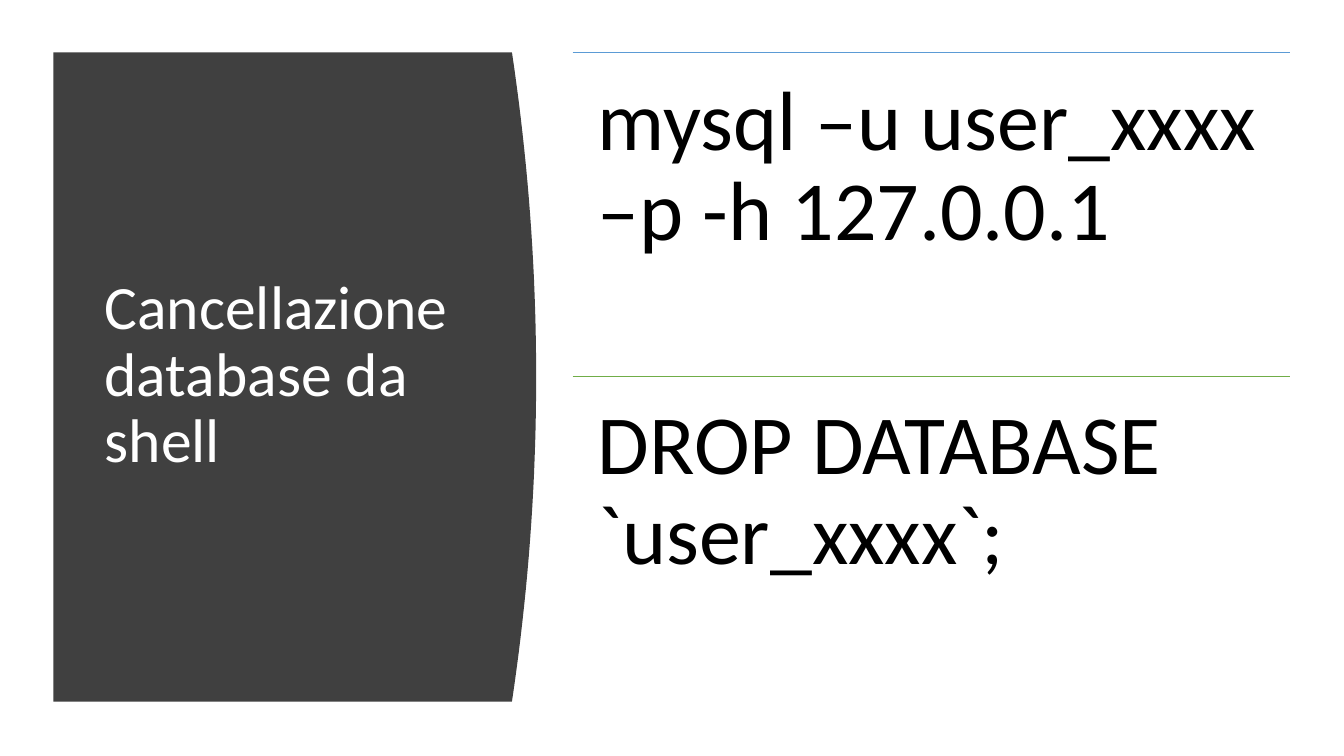
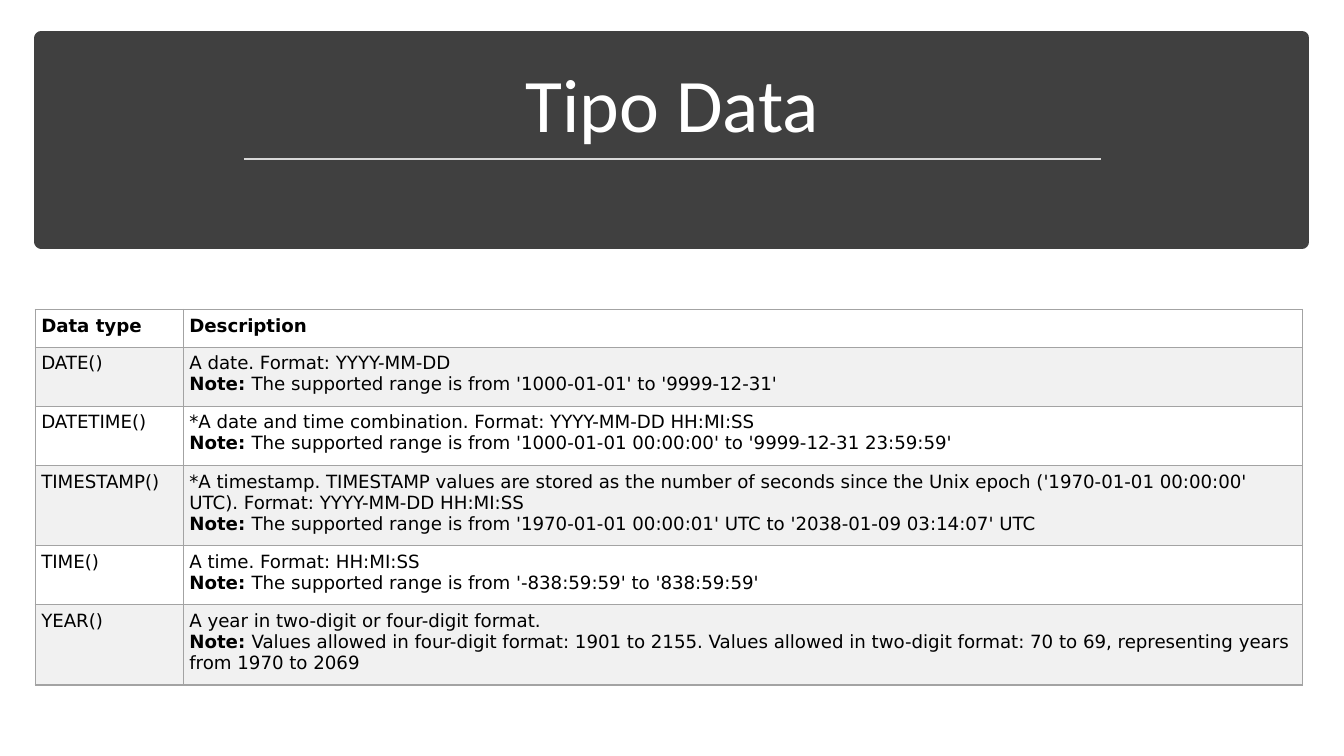
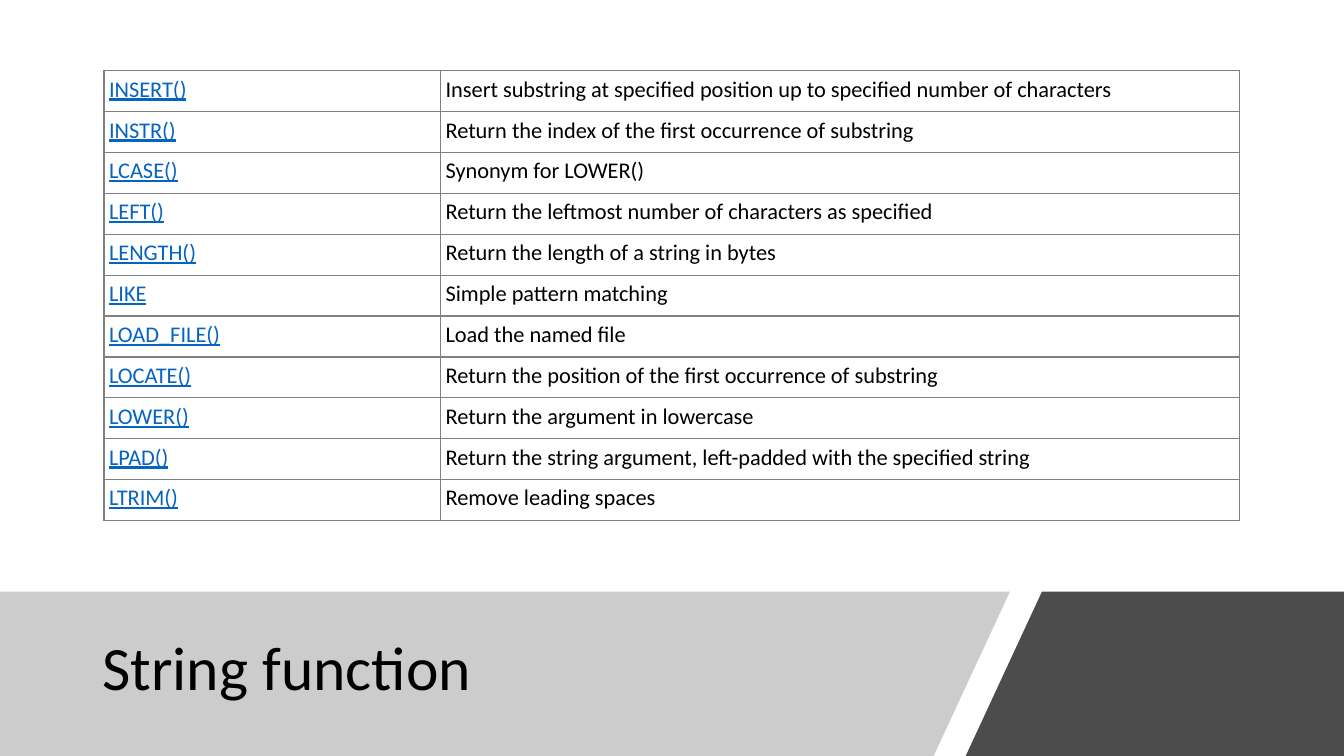
from lxml.etree import SubElement
from pptx import Presentation
from pptx.dml.color import RGBColor
from pptx.enum.shapes import MSO_CONNECTOR, MSO_SHAPE
from pptx.enum.text import MSO_ANCHOR, PP_ALIGN
from pptx.oxml.ns import qn
from pptx.util import Pt

color = RGBColor.from_string
DARK, BLACK, WHITE = "404040", "000000", "FFFFFF"
BODY_FONT, CODE_FONT = "Calibri", "DejaVu Sans"


def write(para, text, size, ink, font=BODY_FONT):
    """Add one run and style the whole paragraph."""
    para.font.name, para.font.size = font, Pt(size)
    para.font.color.rgb = color(ink)
    para.add_run().text = text


def add_grid(page, left, top, widths, heights, border, margin):
    """Add a plain table with thin borders on every cell."""
    frame = page.shapes.add_table(len(heights), len(widths), Pt(left), Pt(top),
                                  Pt(sum(widths)), Pt(sum(heights)))
    table = frame.table
    table.first_row = table.horz_banding = False
    for column, width in zip(table.columns, widths):
        column.width = Pt(width)
    for row, height in zip(table.rows, heights):
        row.height = Pt(height)
    for cell in table.iter_cells():
        cell.margin_left = cell.margin_right = Pt(margin)
        cell.margin_top = cell.margin_bottom = Pt(margin)
        properties = cell._tc.get_or_add_tcPr()
        for side in ("a:lnL", "a:lnR", "a:lnT", "a:lnB"):
            edge = SubElement(properties, qn(side), w=str(Pt(1)))
            SubElement(SubElement(edge, qn("a:solidFill")), qn("a:srgbClr"), val=border)
        cell.fill.background()
    return table


deck = Presentation()
deck.slide_width, deck.slide_height = Pt(960), Pt(540)
drop_page, date_page, string_page = [
    deck.slides.add_slide(deck.slide_layouts[6]) for _ in range(3)]

# Title band of the date page
band = date_page.shapes.add_shape(MSO_SHAPE.RECTANGLE, Pt(29.6), Pt(27.2), Pt(900.6), Pt(145.4))
band.shadow.inherit = False
band.fill.solid()
band.fill.fore_color.rgb = color(DARK)
band.line.color.rgb = color(DARK)
band.line.width = Pt(10)

# Title panels: a side panel with a bulging edge, and two slanted footers
panel_top, panel_middle, panel_bottom = 37.4, 269.3, 501.2
bulge_steps = 40
side_panel = [(38.2, panel_bottom), (38.2, panel_top)]
for step in range(bulge_steps + 1):
    offset = 2 * step / bulge_steps - 1
    side_panel.append((383 - 17.3 * offset ** 2,
                       panel_middle + offset * (panel_bottom - panel_middle)))
footer_top = 422.6
light_footer = [(0, footer_top), (721.4, footer_top), (666.9, 540), (0, 540)]
dark_footer = [(744.3, footer_top), (960, footer_top), (960, 540), (689.8, 540)]

for page, corners, fill, opacity in [
    (drop_page, side_panel, DARK, 100),
    (string_page, light_footer, "808080", 40),
    (string_page, dark_footer, BLACK, 70),
]:
    points = [(Pt(x), Pt(y)) for x, y in corners]
    builder = page.shapes.build_freeform(*points[0])
    builder.add_line_segments(points[1:], close=True)
    panel = builder.convert_to_shape()
    panel.shadow.inherit = False
    panel.fill.solid()
    panel.fill.fore_color.rgb = color(fill)
    panel.line.fill.background()
    if opacity < 100:
        tint = panel._element.spPr.find(qn("a:solidFill")).find(qn("a:srgbClr"))
        SubElement(tint, qn("a:alpha"), val=str(opacity * 1000))

# Rules
command_left, command_width, command_height = 409, 512.6, 231.9
for page, left, right, y, ink, width in [
    (drop_page, command_left, command_left + command_width, panel_top, "5B9BD5", 1),
    (drop_page, command_left, command_left + command_width, panel_middle - 0.5, "70AD47", 1),
    (date_page, 174.2, 786.2, 113.6, "D9D9D9", 1.75),
]:
    rule = page.shapes.add_connector(MSO_CONNECTOR.STRAIGHT, Pt(left), Pt(y), Pt(right), Pt(y))
    rule.line.color.rgb = color(ink)
    rule.line.width = Pt(width)
    SubElement(rule._element.spPr, qn("a:effectLst"))

# Titles and shell commands
for page, text, area, size, ink, anchor, align, inset in [
    (drop_page, "Cancellazione database da shell", (67.7, 80, 269.3, 377.3),
     44, WHITE, MSO_ANCHOR.MIDDLE, PP_ALIGN.LEFT, (7.2, 3.6)),
    (date_page, "Tipo Data", (41.8, 36.7, 877, 73.4),
     54, WHITE, MSO_ANCHOR.BOTTOM, PP_ALIGN.CENTER, (7.2, 3.6)),
    (string_page, "String function", (66.2, 435.6, 607.7, 86.4),
     44, BLACK, MSO_ANCHOR.MIDDLE, PP_ALIGN.LEFT, (7.2, 3.6)),
    (drop_page, "mysql –u user_xxxx –p -h 127.0.0.1",
     (command_left, panel_top, command_width, command_height),
     60, BLACK, MSO_ANCHOR.TOP, PP_ALIGN.LEFT, (18, 18)),
    (drop_page, "DROP DATABASE `user_xxxx`;",
     (command_left, panel_middle - 0.5, command_width, command_height),
     60, BLACK, MSO_ANCHOR.TOP, PP_ALIGN.LEFT, (18, 18)),
]:
    box = page.shapes.add_textbox(*[Pt(length) for length in area])
    frame = box.text_frame
    frame.word_wrap = True
    frame.vertical_anchor = anchor
    frame.margin_left = frame.margin_right = Pt(inset[0])
    frame.margin_top = frame.margin_bottom = Pt(inset[1])
    para = frame.paragraphs[0]
    para.alignment = align
    para.line_spacing = 0.9
    write(para, text, size, ink)

# Date types: name, description, note
date_types = [
    ("Data type", "Description", ""),
    ("DATE()", "A date. Format: YYYY-MM-DD",
     "The supported range is from '1000-01-01' to '9999-12-31'"),
    ("DATETIME()", "*A date and time combination. Format: YYYY-MM-DD HH:MI:SS",
     "The supported range is from '1000-01-01 00:00:00' to '9999-12-31 23:59:59'"),
    ("TIMESTAMP()",
     "*A timestamp. TIMESTAMP values are stored as the number of seconds since the Unix epoch "
     "('1970-01-01 00:00:00' UTC). Format: YYYY-MM-DD HH:MI:SS",
     "The supported range is from '1970-01-01 00:00:01' UTC to '2038-01-09 03:14:07' UTC"),
    ("TIME()", "A time. Format: HH:MI:SS",
     "The supported range is from '-838:59:59' to '838:59:59'"),
    ("YEAR()", "A year in two-digit or four-digit format.",
     "Values allowed in four-digit format: 1901 to 2155. Values allowed in two-digit format: "
     "70 to 69, representing years from 1970 to 2069"),
]
date_table = add_grid(date_page, 25.2, 221, (105.8, 799.2),
                      (27, 42.2, 42.2, 57.4, 42.2, 57.4), "A3A3A3", 4.3)
for index, (name, description, note) in enumerate(date_types):
    for column, text in enumerate((name, description)):
        cell = date_table.cell(index, column)
        cell.fill.solid()
        cell.fill.fore_color.rgb = color("F1F1F1" if index % 2 else WHITE)
        para = cell.text_frame.paragraphs[0]
        write(para, text, 13, BLACK, CODE_FONT)
        para.font.bold = index == 0
    if note:
        para = date_table.cell(index, 1).text_frame.add_paragraph()
        write(para, "Note: ", 13, BLACK, CODE_FONT)
        para.runs[0].font.bold = True
        para.add_run().text = note

# String functions
string_functions = [
    ("INSERT()", "Insert substring at specified position up to specified number of characters"),
    ("INSTR()", "Return the index of the first occurrence of substring"),
    ("LCASE()", "Synonym for LOWER()"),
    ("LEFT()", "Return the leftmost number of characters as specified"),
    ("LENGTH()", "Return the length of a string in bytes"),
    ("LIKE", "Simple pattern matching"),
    ("LOAD_FILE()", "Load the named file"),
    ("LOCATE()", "Return the position of the first occurrence of substring"),
    ("LOWER()", "Return the argument in lowercase"),
    ("LPAD()", "Return the string argument, left-padded with the specified string"),
    ("LTRIM()", "Remove leading spaces"),
]
string_table = add_grid(string_page, 74.3, 50.6, (240.4, 570.9),
                        [29.2] * len(string_functions), "808080", 3.6)
for index, (name, description) in enumerate(string_functions):
    name_para, description_para = [
        string_table.cell(index, column).text_frame.paragraphs[0] for column in range(2)]
    write(name_para, name, 16, "0563C1")
    name_para.font.underline = True
    write(description_para, description, 16, BLACK)

deck.save("out.pptx")
